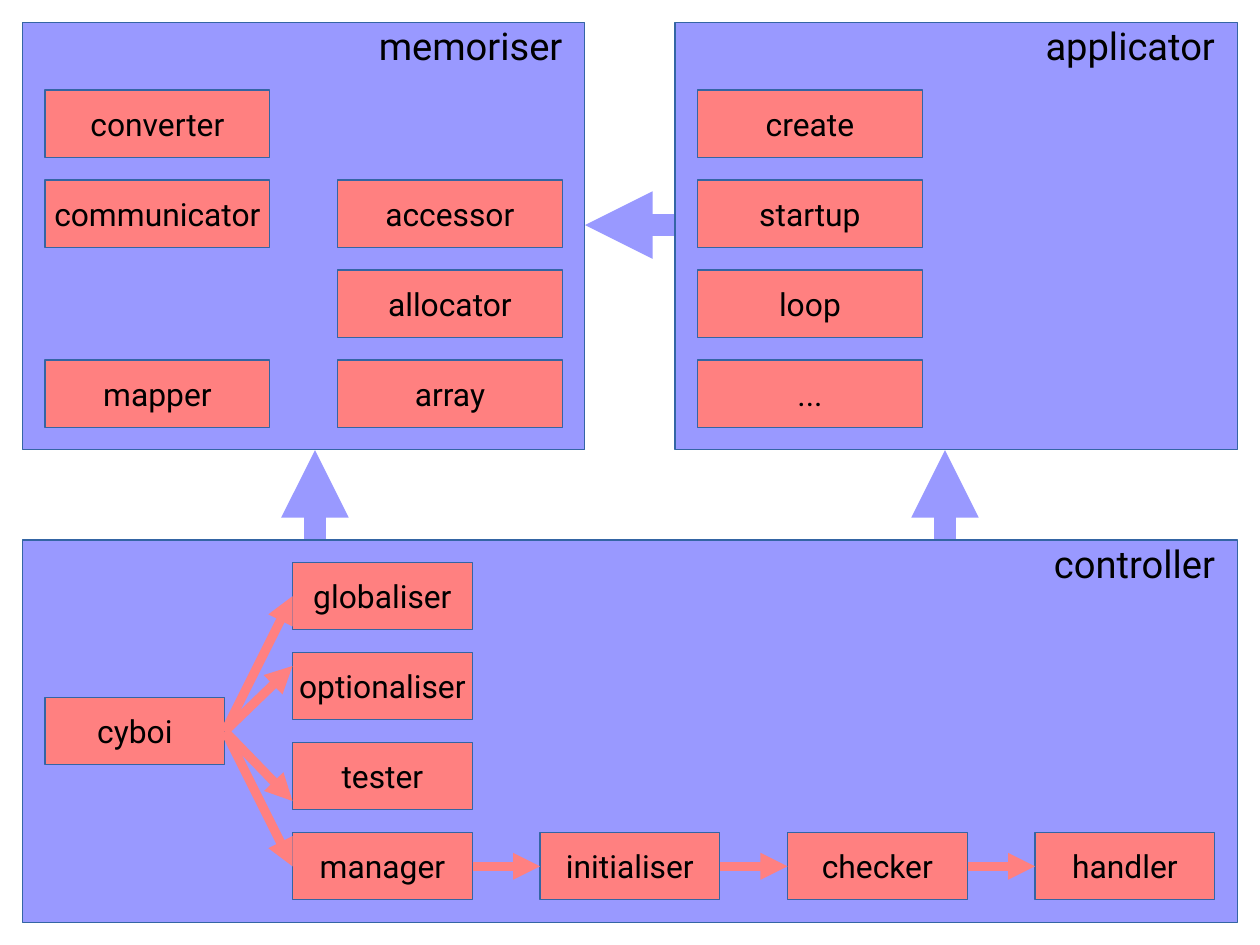
import lxml.etree
import pptx
import pptx.dml.color
import pptx.enum.shapes
import pptx.enum.text
import pptx.oxml.ns
import pptx.util

COLORS = {"panel": "9999FF", "box": "FF8080", "border": "3465A4", "text": "000000"}
FONT = "Roboto"
COLUMNS, ROWS = 56, 42  # grid of half-centimetre cells
CELL = pptx.util.Cm(0.5)
BOX_HEIGHT = 3
MODULE_WIDTH, STEP_WIDTH = 10, 8
MODULE_ROWS = (4, 8, 12, 16)
STEP_COLUMNS = (13, 24, 35, 46)
STEP_ROWS = (25, 29, 33, 37)
RIGHT, LEFT = 3, 1
ALIGN = pptx.enum.text.PP_ALIGN
ANCHOR = pptx.enum.text.MSO_ANCHOR


def cells(*counts):
    return [round(count * CELL) for count in counts]


def color(name):
    return pptx.dml.color.RGBColor.from_string(COLORS[name])


def add_rect(s, area, text, fill, size, align, anchor, right_inset=0):
    """Add a labelled rectangle; area is column, row, width, height in cells."""
    sp = s.shapes.add_shape(pptx.enum.shapes.MSO_SHAPE.RECTANGLE, *cells(*area))
    sp.shadow.inherit = False
    sp.fill.solid()
    sp.fill.fore_color.rgb = color(fill)
    sp.line.color.rgb = color("border")
    sp.line.width = pptx.util.Pt(0)
    tf = sp.text_frame
    tf.word_wrap = True
    tf.margin_left = tf.margin_top = tf.margin_bottom = 0
    tf.margin_right = cells(right_inset)[0]
    tf.vertical_anchor = anchor
    p = tf.paragraphs[0]
    p.alignment = align
    r = p.add_run()
    r.text = text
    r.font.name = FONT
    r.font.size = pptx.util.Pt(size)
    r.font.color.rgb = color("text")
    return sp


def add_panel(s, area, title):
    return add_rect(s, area, title, "panel", 24, ALIGN.RIGHT, ANCHOR.TOP, 1)


def add_box(s, column, row, width, text):
    area = (column, row, width, BOX_HEIGHT)
    return add_rect(s, area, text, "box", 20, ALIGN.CENTER, ANCHOR.MIDDLE)


def add_arrow(s, fill, width, start=(0, 0), end=(0, 0), source=None, target=None):
    """Draw an arrow between cell points, or from/to the sides of boxes."""
    straight = pptx.enum.shapes.MSO_CONNECTOR.STRAIGHT
    line = s.shapes.add_connector(straight, *cells(*start, *end))
    if source is not None:
        line.begin_connect(source, RIGHT)
    if target is not None:
        line.end_connect(target, LEFT)
    line.line.color.rgb = color(fill)
    line.line.width = pptx.util.Pt(width)
    qn = pptx.oxml.ns.qn
    lxml.etree.SubElement(line.line._get_or_add_ln(), qn("a:tailEnd"), type="triangle")
    lxml.etree.SubElement(line._element.spPr, qn("a:effectLst"))


def add_modules(s, column, names):
    """Stack boxes on the module rows, skipping rows without a name."""
    for row, name in zip(MODULE_ROWS, names):
        if name:
            add_box(s, column, row, MODULE_WIDTH, name)


def add_controller(s):
    add_panel(s, (1, 24, 54, 17), "controller")
    cyboi = add_box(s, 2, 31, STEP_WIDTH, "cyboi")
    names = ("globaliser", "optionaliser", "tester", "manager")
    globaliser, _, _, manager = [
        add_box(s, STEP_COLUMNS[0], row, STEP_WIDTH, name)
        for row, name in zip(STEP_ROWS, names)]
    for target in (globaliser, manager):
        add_arrow(s, "box", 5.67, source=cyboi, target=target)
    for row in (29.6, 35.6):
        add_arrow(s, "box", 5.67, end=(STEP_COLUMNS[0], row), source=cyboi)
    previous = manager
    for column, name in zip(STEP_COLUMNS[1:], ("initialiser", "checker", "handler")):
        step = add_box(s, column, STEP_ROWS[-1], STEP_WIDTH, name)
        add_arrow(s, "box", 5.67, source=previous, target=step)
        previous = step


def main():
    prs = pptx.Presentation()
    prs.slide_width, prs.slide_height = cells(COLUMNS, ROWS)
    s = prs.slides.add_slide(prs.slide_layouts[6])

    for start, end in (((42, 24), (42, 20)), ((30, 10), (26, 10)), ((14, 24), (14, 20))):
        add_arrow(s, "panel", 14.17, start, end)

    add_controller(s)
    add_panel(s, (30, 1, 25, 19), "applicator")
    add_modules(s, 31, ("create", "startup", "loop", "..."))
    add_panel(s, (1, 1, 25, 19), "memoriser")
    add_modules(s, 2, ("converter", "communicator", None, "mapper"))
    add_modules(s, 15, (None, "accessor", "allocator", "array"))
    prs.save("out.pptx")


if __name__ == "__main__":
    main()
